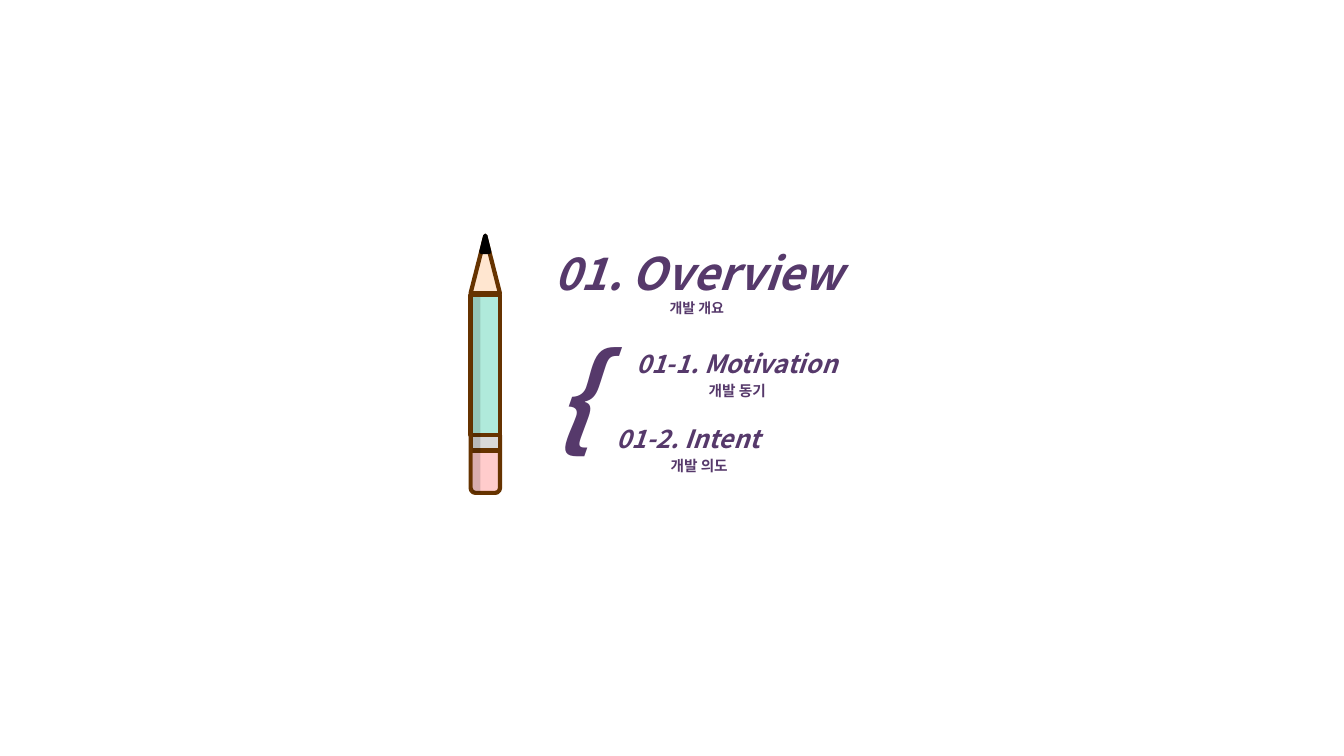
from lxml import etree
from pptx import Presentation
from pptx.dml.color import RGBColor
from pptx.enum.shapes import MSO_SHAPE
from pptx.enum.text import MSO_ANCHOR, MSO_AUTO_SIZE, PP_ALIGN
from pptx.oxml.ns import qn
from pptx.util import Cm, Pt

RECT, TRIANGLE = MSO_SHAPE.RECTANGLE, MSO_SHAPE.ISOSCELES_TRIANGLE
ROUND_TOP = MSO_SHAPE.ROUND_2_SAME_RECTANGLE
CENTER, LEFT = PP_ALIGN.CENTER, PP_ALIGN.LEFT
TOP, NO_AUTOFIT = MSO_ANCHOR.TOP, MSO_AUTO_SIZE.NONE
FONT = "Noto Sans CJK KR"
PURPLE = RGBColor(0x56, 0x39, 0x6B)
BROWN = RGBColor(0x66, 0x33, 0x00)
MINT = RGBColor(0xB0, 0xEA, 0xDB)
PINK = RGBColor(0xFF, 0xCC, 0xCC)
GRAY = RGBColor(0xD9, 0xD9, 0xD9)
WOOD = RGBColor(0xFF, 0xE6, 0xD0)
BLACK = RGBColor(0, 0, 0)

HEADING = [("01. Overview", 32, True), ("개발 개요 ", 10, False)]
HEADING_BOX = (12.42, 6.07, 10.36, 2.03)
TOPICS = [
    ("01-1. Motivation", "개발 동기", 14.66, 16, 8.66),
    ("01-2. Intent", "개발 의도", 13.44, 15.04, 10.54),
]
TOPIC_SIZE, CAPTION_SIZE, CAPTION_DROP = (7.82, 1.02), (5.16, 0.69), 0.84
BRACE_BOX = (13.72, 8.08, 0.91, 3.63)

PENCIL_LEFT, PENCIL_WIDTH = 11.86, 0.74
PENCIL = [
    (RECT, 7.44, 3.53, PENCIL_WIDTH, MINT, BROWN, None),
    (ROUND_TOP, 10.97, 1.45, PENCIL_WIDTH, PINK, BROWN, 0.167),
    (ROUND_TOP, 10.97, 0.38, PENCIL_WIDTH, GRAY, BROWN, 0),
    (TRIANGLE, 5.94, 1.45, PENCIL_WIDTH, WOOD, BROWN, None),
    (TRIANGLE, 5.94, 0.41, 0.2, BLACK, BLACK, None),
]
SHADE_BOX = (11.91, 7.49, 0.2, 4.93)


def write(shape, box, lines, align=CENTER):
    """Place a text shape and fill it with (text, size, italic) lines."""
    shape.left, shape.top, shape.width, shape.height = map(Cm, box)
    frame = shape.text_frame
    frame.word_wrap, frame.auto_size = True, NO_AUTOFIT
    frame.vertical_anchor = TOP
    frame.margin_left = frame.margin_right = Cm(0.25)
    frame.margin_top = frame.margin_bottom = Cm(0.13)
    frame.text = "\n".join(text for text, _, _ in lines)
    for paragraph, (_, size, italic) in zip(frame.paragraphs, lines):
        paragraph.alignment = align
        for run in paragraph.runs:
            font = run.font
            font.name, font.size = FONT, Pt(size)
            font.bold, font.italic = True, italic
            font.color.rgb = PURPLE
            east_asian = etree.SubElement(run._r.get_or_add_rPr(), qn("a:ea"))
            east_asian.set("typeface", FONT)


def add_part(group, kind, box, fill):
    """Add one filled piece of the pencil."""
    part = group.shapes.add_shape(kind, *map(Cm, box))
    part.shadow.inherit = False
    part.fill.solid()
    part.fill.fore_color.rgb = fill
    return part


def draw_pencil(slide):
    """Draw the pencil with its translucent shade on the left."""
    pencil = slide.shapes.add_group_shape()
    for kind, top, height, width, fill, outline, corner in PENCIL:
        left = PENCIL_LEFT + (PENCIL_WIDTH - width) / 2
        part = add_part(pencil, kind, (left, top, width, height), fill)
        part.line.color.rgb = outline
        part.line.width = Pt(3)
        if corner is not None:
            part.adjustments[0] = corner
            part.rotation = 180
    shade = add_part(pencil, RECT, SHADE_BOX, BLACK)
    shade.line.fill.background()
    color = shade._element.spPr.find(qn("a:solidFill"))[0]
    etree.SubElement(color, qn("a:alpha")).set("val", "15000")


def main():
    """Build the section slide."""
    deck = Presentation()
    deck.slide_width, deck.slide_height = Cm(33.87), Cm(19.05)
    slide = deck.slides.add_slide(deck.slide_layouts[5])
    write(slide.shapes.title, HEADING_BOX, HEADING)
    draw_pencil(slide)

    def add_text(box, text, size, italic, align=CENTER):
        label = slide.shapes.add_textbox(0, 0, 0, 0)
        write(label, box, [(text, size, italic)], align)

    for topic, caption, topic_left, caption_left, top in TOPICS:
        add_text((topic_left, top, *TOPIC_SIZE), topic, 18, True)
        caption_box = (caption_left, top + CAPTION_DROP, *CAPTION_SIZE)
        add_text(caption_box, caption, 10.5, False)
    add_text(BRACE_BOX, "{", 80, True, LEFT)
    deck.save("out.pptx")


if __name__ == "__main__":
    main()
